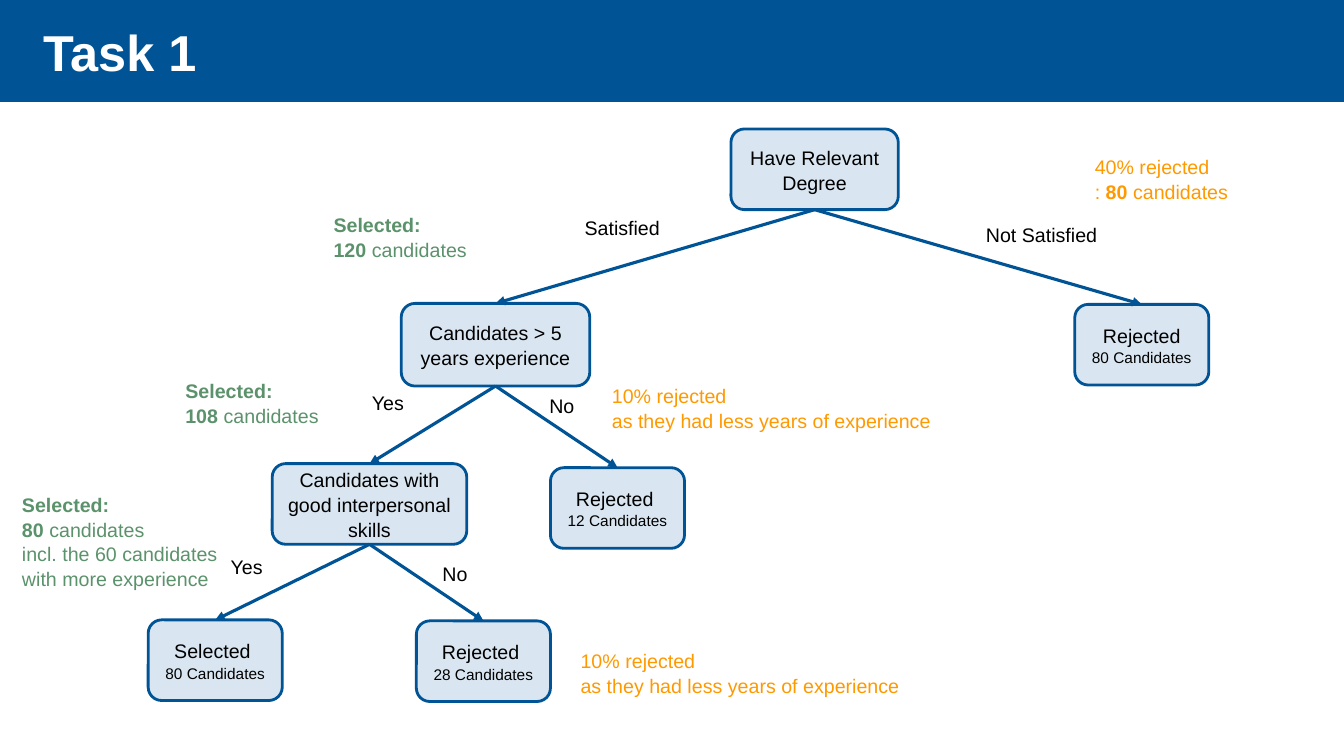
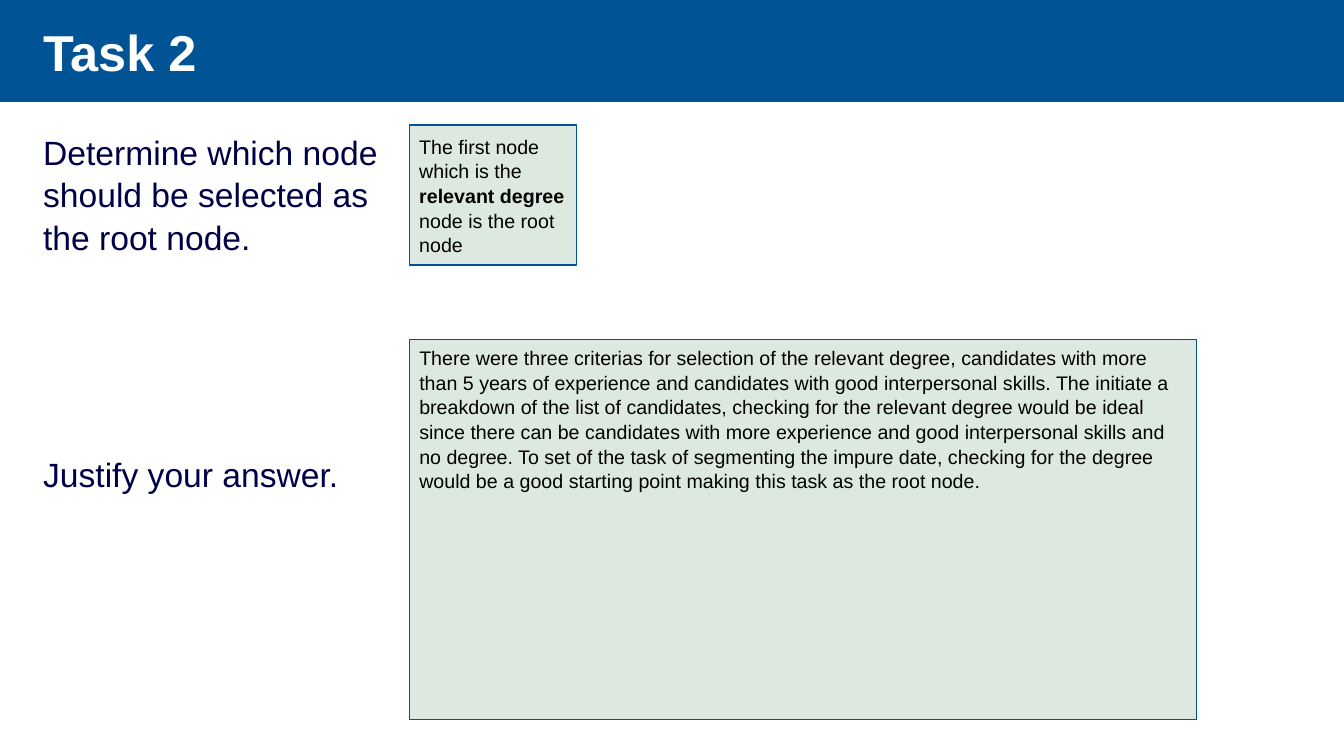
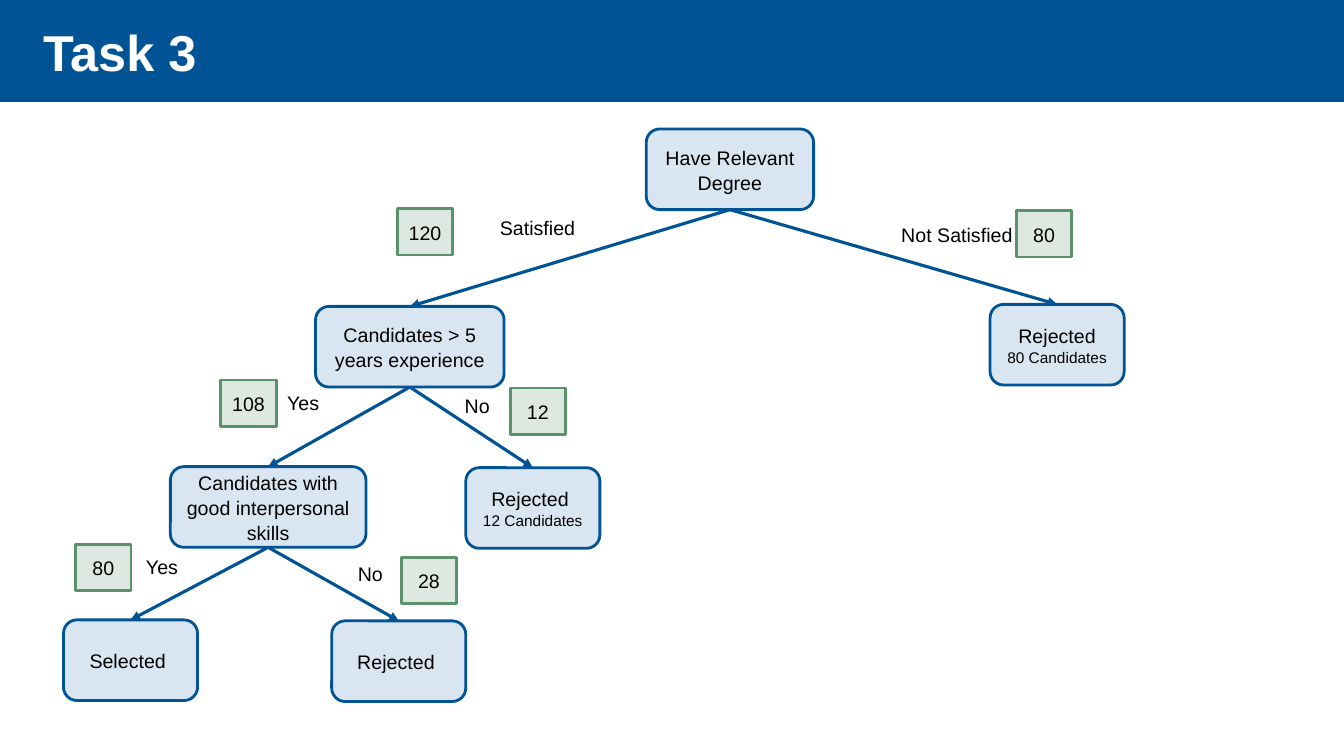
from pptx import Presentation
from pptx.dml.color import RGBColor
from pptx.enum.shapes import MSO_CONNECTOR, MSO_SHAPE
from pptx.enum.text import MSO_ANCHOR, PP_ALIGN
from pptx.oxml.ns import qn
from pptx.util import Inches, Pt
from lxml import etree

RECTANGLE = MSO_SHAPE.RECTANGLE
ROUNDED = MSO_SHAPE.ROUNDED_RECTANGLE
STRAIGHT = MSO_CONNECTOR.STRAIGHT
TOP, MIDDLE = MSO_ANCHOR.TOP, MSO_ANCHOR.MIDDLE
LEFT, CENTER = PP_ALIGN.LEFT, PP_ALIGN.CENTER
TOP_SIDE, BOTTOM_SIDE = 0, 2

COLORS = {
    "blue": "005495",
    "navy": "000046",
    "node": "D9E6F1",
    "green": "5B926B",
    "mint": "DDE9E0",
    "orange": "FF9900",
    "white": "FFFFFF",
    "black": "000000",
}
FONT = "Arial"
LINE_SPACING = 1.05

NODES = {
    "degree": ((7.25, 1.28, 1.66, 0.8), "Have Relevant Degree", ""),
    "experience": ((3.98, 3.01, 1.87, 0.82), "Candidates > 5 years experience", ""),
    "no degree": ((10.66, 3.02, 1.33, 0.8), "Rejected", "80 Candidates"),
    "selected": ((1.47, 6.15, 1.33, 0.8), "Selected ", "80 Candidates"),
    "no skills": ((4.13, 6.16, 1.33, 0.8), "Rejected ", "28 Candidates"),
    "skills": ((2.7, 4.6, 1.93, 0.8), "Candidates with good interpersonal skills", ""),
    "no experience": ((5.46, 4.64, 1.33, 0.8), "Rejected ", "12 Candidates"),
}
BRANCHES = [
    ("degree", "experience", "Satisfied", (5.7, 2.08, 1.2, 0.34)),
    ("degree", "no degree", "Not Satisfied", (9.68, 2.15, 1.53, 0.34)),
    ("experience", "no experience", "No", (5.35, 3.85, 0.6, 0.34)),
    ("experience", "skills", "Yes", (3.59, 3.82, 0.73, 0.34)),
    ("skills", "selected", "Yes", (2.19, 5.44, 0.76, 0.34)),
    ("skills", "no skills", "No", (4.29, 5.51, 0.58, 0.34)),
]
COUNTED_NODES = {
    "experience": ((3.97, 3.04, 1.87, 0.8), "Candidates > 5 years experience", ""),
    "skills": ((2.53, 4.63, 1.94, 0.8), "Candidates with good interpersonal skills", ""),
    "selected": ((1.47, 6.15, 1.33, 0.8), "Selected ", ""),
    "no skills": ((4.13, 6.16, 1.33, 0.8), "Rejected ", ""),
}
COUNTS = [
    ("120", 3.94, 2.07),
    ("80", 10.08, 2.09),
    ("108", 2.19, 3.77),
    ("12", 5.06, 3.85),
    ("80", 0.75, 5.4),
    ("28", 3.98, 5.53),
]
LESS_EXPERIENCE = "10% rejected\nas they had less years of experience"


def bold(text):
    return text, True, None


def small(text):
    return text, None, Pt(11)


class Deck:
    def __init__(self):
        self.deck = Presentation()
        self.deck.slide_width = Inches(13.33)
        self.deck.slide_height = Inches(7.5)
        self.page = None

    def add_page(self, title):
        self.page = self.deck.slides.add_slide(self.deck.slide_layouts[6])
        self.shape((0, 0, 13.33, 1), RECTANGLE, "blue", "blue", 2)
        self.text((0.33, 0.08, 12.72, 0.82), [[bold(title)]], "white", 36, MIDDLE)

    def fill_text(self, box, paragraphs, color="black", size=14, anchor=TOP, align=LEFT, gap=0):
        frame = box.text_frame
        frame.word_wrap = True
        frame.vertical_anchor = anchor
        for index, spans in enumerate(paragraphs):
            para = frame.add_paragraph() if index else frame.paragraphs[0]
            para.alignment = align
            para.line_spacing = LINE_SPACING
            para.space_before = Pt(gap if index else 0)
            para.font.name = FONT
            para.font.size = Pt(size)
            para.font.color.rgb = RGBColor.from_string(COLORS[color])
            for span in spans:
                self.add_span(para, span)

    def add_span(self, para, span):
        text, weight, size = (span, None, None) if isinstance(span, str) else span
        for index, line in enumerate(text.split("\n")):
            if index:
                para.add_line_break()
            if line:
                run = para.add_run()
                run.text = line
                run.font.bold = weight
                run.font.size = size

    def text(self, at, paragraphs, *style, **options):
        box = self.page.shapes.add_textbox(*map(Inches, at))
        self.fill_text(box, paragraphs, *style, **options)

    def shape(self, at, kind, fill, line, width):
        box = self.page.shapes.add_shape(kind, *map(Inches, at))
        box.shadow.inherit = False
        box.fill.solid()
        box.fill.fore_color.rgb = RGBColor.from_string(COLORS[fill])
        box.line.color.rgb = RGBColor.from_string(COLORS[line])
        box.line.width = Pt(width)
        return box

    def node(self, at, label, count):
        box = self.shape(at, ROUNDED, "node", "blue", 2)
        spans = [label + "\n", small(count)] if count else [label]
        self.fill_text(box, [spans], anchor=MIDDLE, align=CENTER)
        return box

    def arrow(self, parent, child):
        connector = self.page.shapes.add_connector(STRAIGHT, 0, 0, 0, 0)
        connector.begin_connect(parent, BOTTOM_SIDE)
        connector.end_connect(child, TOP_SIDE)
        connector.line.color.rgb = RGBColor.from_string(COLORS["blue"])
        connector.line.width = Pt(2.25)
        properties = connector.element.spPr
        etree.SubElement(properties.find(qn("a:ln")), qn("a:tailEnd"), type="triangle")
        etree.SubElement(properties, qn("a:effectLst"))

    def tree(self, nodes, shift=0):
        def move(at):
            return (at[0] - shift, *at[1:])

        boxes = {
            name: self.node(move(at), label, count)
            for name, (at, label, count) in nodes.items()
        }
        for parent, child, label, at in BRANCHES:
            self.arrow(boxes[parent], boxes[child])
            self.text(move(at), [[label]])

    def answer(self, at, spans, anchor):
        box = self.shape(at, RECTANGLE, "mint", "blue", 1)
        self.fill_text(box, [spans], anchor=anchor)

    def count(self, number, left, top):
        box = self.shape((left, top, 0.55, 0.46), RECTANGLE, "mint", "green", 2)
        self.fill_text(box, [[number]], anchor=MIDDLE, align=CENTER)

    def selected(self, at, number, *more):
        first = [bold(f"Selected: \n{number} "), "candidates"]
        self.text(at, [first, *([line] for line in more)], "green")


def main():
    slides = Deck()

    slides.add_page("Task 1")
    slides.tree(NODES)
    slides.text((10.76, 1.48, 1.53, 0.57),
                [["40% rejected\n:", bold(" 80 "), "candidates"]], "orange")
    for left, top in ((5.97, 3.75), (5.66, 6.38)):
        slides.text((left, top, 3.45, 0.57), [[LESS_EXPERIENCE]], "orange")
    slides.selected((3.21, 2.05, 1.53, 0.57), 120)
    slides.selected((1.74, 3.7, 1.53, 0.57), 108)
    slides.selected((0.12, 4.83, 2.3, 1.04), 80,
                    "incl. the 60 candidates with more experience")

    slides.add_page("Task 2")
    slides.text((0.33, 1.24, 3.73, 6.07), [
        ["Determine which node should be selected as the root node."],
        ["Justify your answer."],
    ], "navy", 24, gap=139)
    slides.answer((4.06, 1.24, 1.66, 1.39), [
        "The first node which is the ",
        bold("relevant degree"),
        " node is the root node",
    ], MIDDLE)
    slides.answer((4.06, 3.37, 7.81, 3.77), [
        "There were three criterias for selection of the relevant degree, "
        "candidates with more than 5 years of experience and candidates with "
        "good interpersonal skills. The initiate a breakdown of the list of "
        "candidates, checking for the relevant degree would be ideal since "
        "there can be candidates with more experience and good interpersonal "
        "skills and no degree. To set of the task of segmenting the impure "
        "date, checking for the degree would be a good starting point making "
        "this task as the root node."
    ], TOP)

    slides.add_page("Task 3")
    slides.tree({**NODES, **COUNTED_NODES}, shift=0.84)
    for number, left, top in COUNTS:
        slides.count(number, left, top)

    slides.deck.save("out.pptx")


if __name__ == "__main__":
    main()
